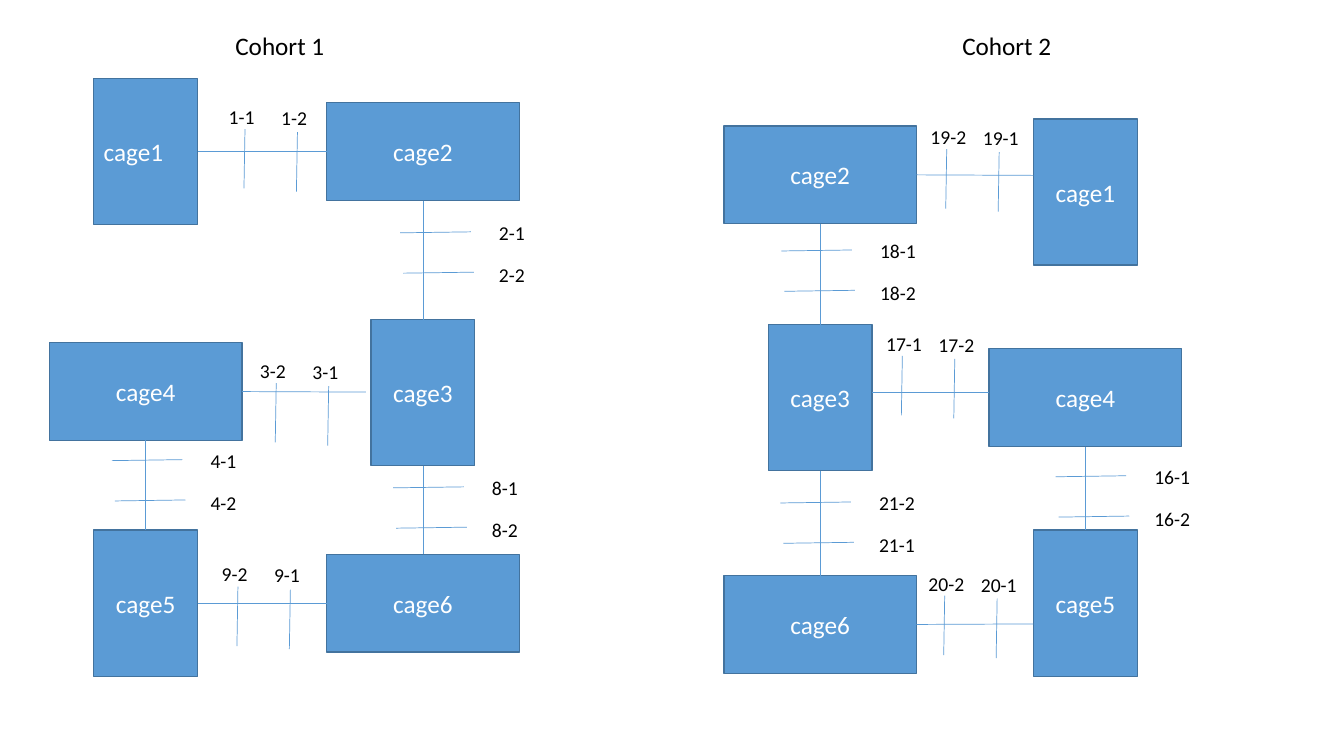
from lxml.etree import SubElement
from pptx import Presentation
from pptx.dml.color import RGBColor
from pptx.enum.shapes import MSO_CONNECTOR, MSO_SHAPE
from pptx.enum.text import MSO_ANCHOR, PP_ALIGN
from pptx.oxml.ns import qn
from pptx.util import Inches, Pt

FONT = "Calibri"
BLUE, EDGE, WHITE, BLACK = "5B9BD5", "43739E", "FFFFFF", "000000"
TOP, LEFT, BOTTOM, RIGHT = range(4)
TALL, WIDE = (1.03, 1.45), (1.91, 0.97)
SIDE_MIDDLES = {TOP: (0.5, 0), LEFT: (0, 0.5), BOTTOM: (0.5, 1), RIGHT: (1, 0.5)}

COHORTS = [
    {
        "title": ("Cohort 1", 0.9, 0.25),
        "cages": {
            "cage1": (0.93, 0.78, TALL),
            "cage2": (3.24, 1.02, WIDE),
            "cage3": (3.68, 3.17, TALL),
            "cage4": (0.49, 3.4, WIDE),
            "cage5": (0.93, 5.26, TALL),
            "cage6": (3.24, 5.5, WIDE),
        },
        "left_aligned": ["cage1"],
        "tubes": [
            (("cage1", RIGHT), ("cage2", LEFT)),
            (("cage2", BOTTOM), ("cage3", TOP)),
            (("cage3", BOTTOM), ("cage6", TOP)),
            (("cage4", BOTTOM), ("cage5", TOP)),
            (("cage4", RIGHT), (3.63, 3.89)),
            (("cage5", RIGHT), ("cage6", LEFT)),
        ],
        "across": [
            (2.17, 0.99, "1-1", "1-2"),
            (2.48, 3.51, "3-2", "3-1"),
            (2.1, 5.53, "9-2", "9-1"),
        ],
        "down": [
            (4.85, 2.14, "2-1", "2-2"),
            (4.78, 4.67, "8-1", "8-2"),
            (1.99, 4.4, "4-1", "4-2"),
        ],
    },
    {
        "title": ("Cohort 2", 8.11, 0.25),
        "cages": {
            "cage1": (10.25, 1.18, TALL),
            "cage2": (7.18, 1.25, WIDE),
            "cage3": (7.62, 3.22, TALL),
            "cage4": (9.81, 3.46, WIDE),
            "cage5": (10.25, 5.26, TALL),
            "cage6": (7.18, 5.71, WIDE),
        },
        "left_aligned": [],
        "tubes": [
            (("cage2", RIGHT), (10.25, 1.74)),
            ((8.65, 3.89), (9.81, 3.89)),
            (("cage6", RIGHT), (10.25, 6.19)),
            (("cage2", BOTTOM), ("cage3", TOP)),
            (("cage3", BOTTOM), ("cage6", TOP)),
            (("cage4", BOTTOM), ("cage5", TOP)),
        ],
        "across": [
            (9.13, 1.19, "19-2", "19-1"),
            (8.69, 3.24, "17-1", "17-2"),
            (9.11, 5.62, "20-2", "20-1"),
        ],
        "down": [
            (8.63, 2.32, "18-1", "18-2"),
            (8.62, 4.82, "21-2", "21-1"),
            (11.35, 4.56, "16-1", "16-2"),
        ],
    },
]

GATES = {
    "across": {"width": 0.57, "label_step": (0.52, 0.01), "tick_step": (0.52, 0.03),
               "start": (0.26, 0.29), "end": (0.25, 0.88)},
    "down": {"width": 0.63, "label_step": (0, 0.42), "tick_step": (0.03, 0.4),
             "start": (-0.88, 0.17), "end": (-0.18, 0.16)},
}


def rgb(color):
    return RGBColor.from_string(color)


def add_text(tf, text, size, color, align):
    tf.word_wrap = True
    p = tf.paragraphs[0]
    p.alignment = align
    r = p.add_run()
    r.text = text
    r.font.name = FONT
    r.font.size = Pt(size)
    r.font.color.rgb = rgb(color)


def add_label(s, text, x, y, w, h, size, align):
    sp = s.shapes.add_textbox(Inches(x), Inches(y), Inches(w), Inches(h))
    add_text(sp.text_frame, text, size, BLACK, align)


def add_cage(s, name, x, y, size, align):
    w, h = size
    sp = s.shapes.add_shape(MSO_SHAPE.RECTANGLE, Inches(x), Inches(y), Inches(w), Inches(h))
    sp.shadow.inherit = False
    sp.fill.solid()
    sp.fill.fore_color.rgb = rgb(BLUE)
    sp.line.color.rgb = rgb(EDGE)
    sp.line.width = Pt(1)
    sp.text_frame.vertical_anchor = MSO_ANCHOR.MIDDLE
    add_text(sp.text_frame, name, 18, WHITE, align)
    return sp


def add_line(s, start, end):
    cx = s.shapes.add_connector(MSO_CONNECTOR.STRAIGHT, *(Inches(v) for v in (*start, *end)))
    cx.line.color.rgb = rgb(BLUE)
    cx.line.width = Pt(0.5)
    SubElement(cx._element.spPr, qn("a:effectLst"))
    return cx


def tube_end(boxes, end):
    if end[0] not in boxes:
        return end
    x, y, (w, h) = boxes[end[0]]
    fx, fy = SIDE_MIDDLES[end[1]]
    return x + w * fx, y + h * fy


def add_tube(s, boxes, cages, start, end):
    cx = add_line(s, tube_end(boxes, start), tube_end(boxes, end))
    for e, connect in ((start, cx.begin_connect), (end, cx.end_connect)):
        if e[0] in cages:
            connect(cages[e[0]], e[1])


def add_gates(s, rule, x, y, *labels):
    for i, text in enumerate(labels):
        lx, ly = (v + i * d for v, d in zip((x, y), rule["label_step"]))
        add_label(s, text, lx, ly, rule["width"], 0.34, 14, PP_ALIGN.LEFT)
        tx, ty = (v + i * d for v, d in zip((x, y), rule["tick_step"]))
        add_line(s, *((tx + dx, ty + dy) for dx, dy in (rule["start"], rule["end"])))


def main():
    prs = Presentation()
    prs.slide_width, prs.slide_height = Inches(13.33), Inches(7.5)
    s = prs.slides.add_slide(prs.slide_layouts[6])
    for cohort in COHORTS:
        add_label(s, *cohort["title"], 3.75, 0.4, 18, PP_ALIGN.CENTER)
        boxes, cages = cohort["cages"], {}
        for name, box in boxes.items():
            align = PP_ALIGN.LEFT if name in cohort["left_aligned"] else PP_ALIGN.CENTER
            cages[name] = add_cage(s, name, *box, align)
        for start, end in cohort["tubes"]:
            add_tube(s, boxes, cages, start, end)
        for direction, rule in GATES.items():
            for gates in cohort[direction]:
                add_gates(s, rule, *gates)
    prs.save("out.pptx")


if __name__ == "__main__":
    main()
